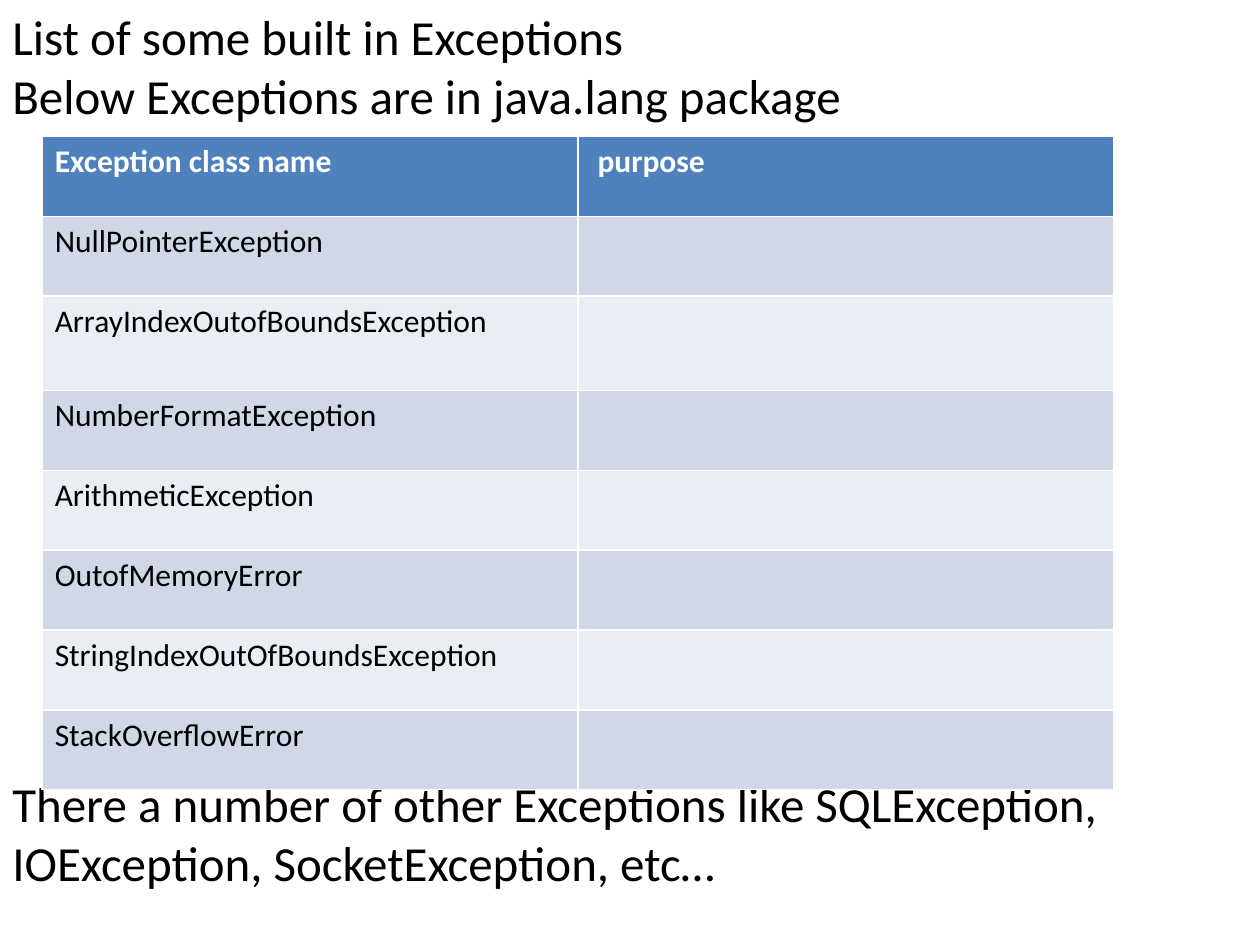
from pptx import Presentation
from pptx.dml.color import RGBColor
from pptx.enum.shapes import MSO_SHAPE as Shape
from pptx.enum.text import MSO_ANCHOR as Anchor, PP_ALIGN as Align
from pptx.util import Cm, Pt

INTRO = ["List of some built in Exceptions", "Below Exceptions are in java.lang package"]
CLOSING = ["There a number of other Exceptions like SQLException, IOException, SocketException, etc…"]
HEADER = ("Exception class name", " purpose")
EXCEPTIONS = [
    "NullPointerException",
    "ArrayIndexOutofBoundsException",
    "NumberFormatException",
    "ArithmeticException",
    "OutofMemoryError",
    "StringIndexOutOfBoundsException",
    "StackOverflowError",
]
HEADER_FILL = "4F81BD"
BAND_FILLS = ("D0D8E8", "E9EDF4")
WHITE, BLACK = "FFFFFF", "000000"
ROW_HEIGHT, TALL_ROW_HEIGHT, TALL_ROW = 1.61, 1.9, 2
COLUMN_WIDTH = 10.8


def paint(fill, color):
    fill.solid()
    fill.fore_color.rgb = RGBColor.from_string(color)


def write(frame, lines, size=18, color=BLACK, bold=False):
    for index, line in enumerate(lines):
        paragraph = frame.paragraphs[0] if index == 0 else frame.add_paragraph()
        paragraph.alignment = Align.LEFT
        run = paragraph.add_run()
        run.text = line
        run.font.name = "Calibri"
        run.font.size = Pt(size)
        run.font.bold = bold
        run.font.color.rgb = RGBColor.from_string(color)


def add_banner(slide, top, lines):
    shape = slide.shapes.add_shape(Shape.RECTANGLE, 0, Cm(top), Cm(25.4), Cm(2.65))
    shape.shadow.inherit = False
    paint(shape.fill, WHITE)
    shape.line.fill.background()
    shape.text_frame.word_wrap = True
    shape.text_frame.vertical_anchor = Anchor.MIDDLE
    write(shape.text_frame, lines, size=28)


def add_exception_table(slide):
    rows = [HEADER] + [(name, "") for name in EXCEPTIONS]
    heights = [TALL_ROW_HEIGHT if i == TALL_ROW else ROW_HEIGHT for i in range(len(rows))]
    table = slide.shapes.add_table(
        len(rows), len(HEADER), Cm(0.85), Cm(2.75),
        Cm(COLUMN_WIDTH * len(HEADER)), Cm(sum(heights)),
    ).table
    for column in table.columns:
        column.width = Cm(COLUMN_WIDTH)
    for index, (texts, height) in enumerate(zip(rows, heights)):
        table.rows[index].height = Cm(height)
        is_header = index == 0
        for column, text in enumerate(texts):
            cell = table.cell(index, column)
            paint(cell.fill, HEADER_FILL if is_header else BAND_FILLS[(index - 1) % 2])
            if text:
                write(cell.text_frame, [text], color=WHITE if is_header else BLACK, bold=is_header)


def main():
    presentation = Presentation()
    presentation.slide_width = Cm(25.4)
    presentation.slide_height = Cm(19.05)
    slide = presentation.slides.add_slide(presentation.slide_layouts[6])
    add_banner(slide, 0, INTRO)
    add_banner(slide, 15.45, CLOSING)
    add_exception_table(slide)
    presentation.save("out.pptx")


if __name__ == "__main__":
    main()
